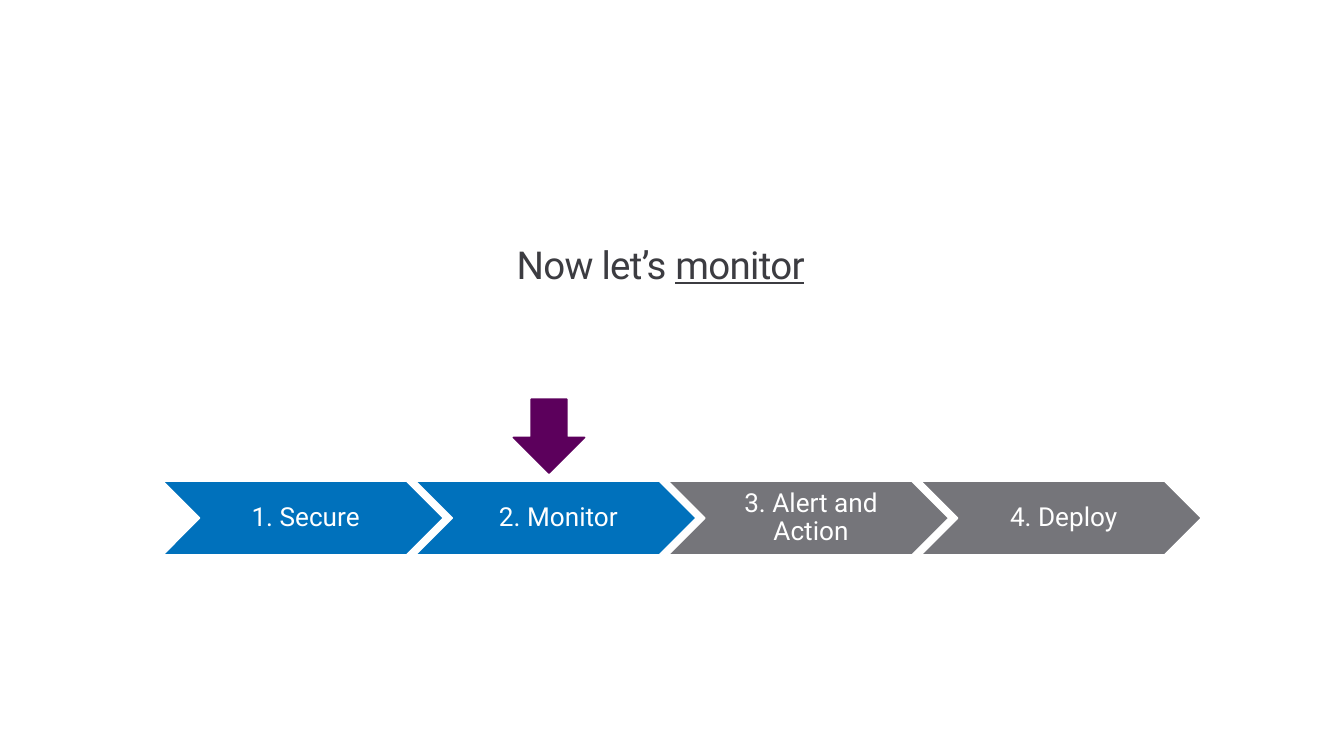
from pptx import Presentation
from pptx.dml.color import RGBColor
from pptx.enum.shapes import MSO_SHAPE
from pptx.enum.text import MSO_ANCHOR, PP_ALIGN
from pptx.util import Inches, Pt

CHEVRON, ARROW = MSO_SHAPE.CHEVRON, MSO_SHAPE.DOWN_ARROW
MIDDLE, CENTER = MSO_ANCHOR.MIDDLE, PP_ALIGN.CENTER

# Content
TITLE = [("Now let’s ", False), ("monitor", True)]  # text, underlined
STEPS = [("1. Secure", "done"), ("2. Monitor", "done"),
         ("3. Alert and Action", "next"), ("4. Deploy", "next")]

THEME = {
    "font": "Roboto", "title": 20.6, "label": 14, "line": 0.85,
    "ink": "3C3C41", "white": "FFFFFF",
    "done": "0071BC", "next": "75757A", "mark": "5C005C",
}

# Layout in inches
PAGE = (10, 10 * 9 / 16)
LEFT, TOP, WIDE, HIGH, STEP = 1.21, 3.58, 2.09, 0.55, 1.88


def color(name):
    return RGBColor.from_string(THEME[name])


def set_text(frame, par, size, ink, insets):
    frame.word_wrap = True
    frame.vertical_anchor = MIDDLE
    (frame.margin_left, frame.margin_top,
     frame.margin_right, frame.margin_bottom) = map(Inches, insets)
    par.alignment = CENTER
    par.line_spacing = 0.9
    par.font.name = THEME["font"]
    par.font.size = Pt(THEME[size])
    par.font.color.rgb = color(ink)


def add_block(slide, kind, box, fill, line):
    shape = slide.shapes.add_shape(kind, *map(Inches, box))
    shape.shadow.inherit = False
    shape.fill.solid()
    shape.fill.fore_color.rgb = color(fill)
    shape.line.color.rgb = color(line)
    shape.line.width = Pt(THEME["line"])
    return shape


prs = Presentation()
prs.slide_width, prs.slide_height = map(Inches, PAGE)
slide = prs.slides.add_slide(prs.slide_layouts[5])

# Title
title = slide.shapes.title
title.left, title.top, title.width, title.height = map(
    Inches, (0.42, 1.65, 9.15, 0.67))
par = title.text_frame.paragraphs[0]
for text, under in TITLE:
    run = par.add_run()
    run.text = text
    if under:
        run.font.underline = True
    run.font._element.set("spc", "-40")
set_text(title.text_frame, par, "title", "ink", (0, 0.1, 0.16, 0.1))

# Process steps
for i, (text, state) in enumerate(STEPS):
    box = (LEFT + i * STEP, TOP, WIDE, HIGH)
    frame = add_block(slide, CHEVRON, box, state, "white").text_frame
    frame.text = text
    set_text(frame, frame.paragraphs[0], "label", "white",
             (0.06, 0.02, 0.02, 0.02))

# Marker over the current step
add_block(slide, ARROW, (3.82, 2.97, 0.53, 0.55), "mark", "mark")

prs.save("out.pptx")
